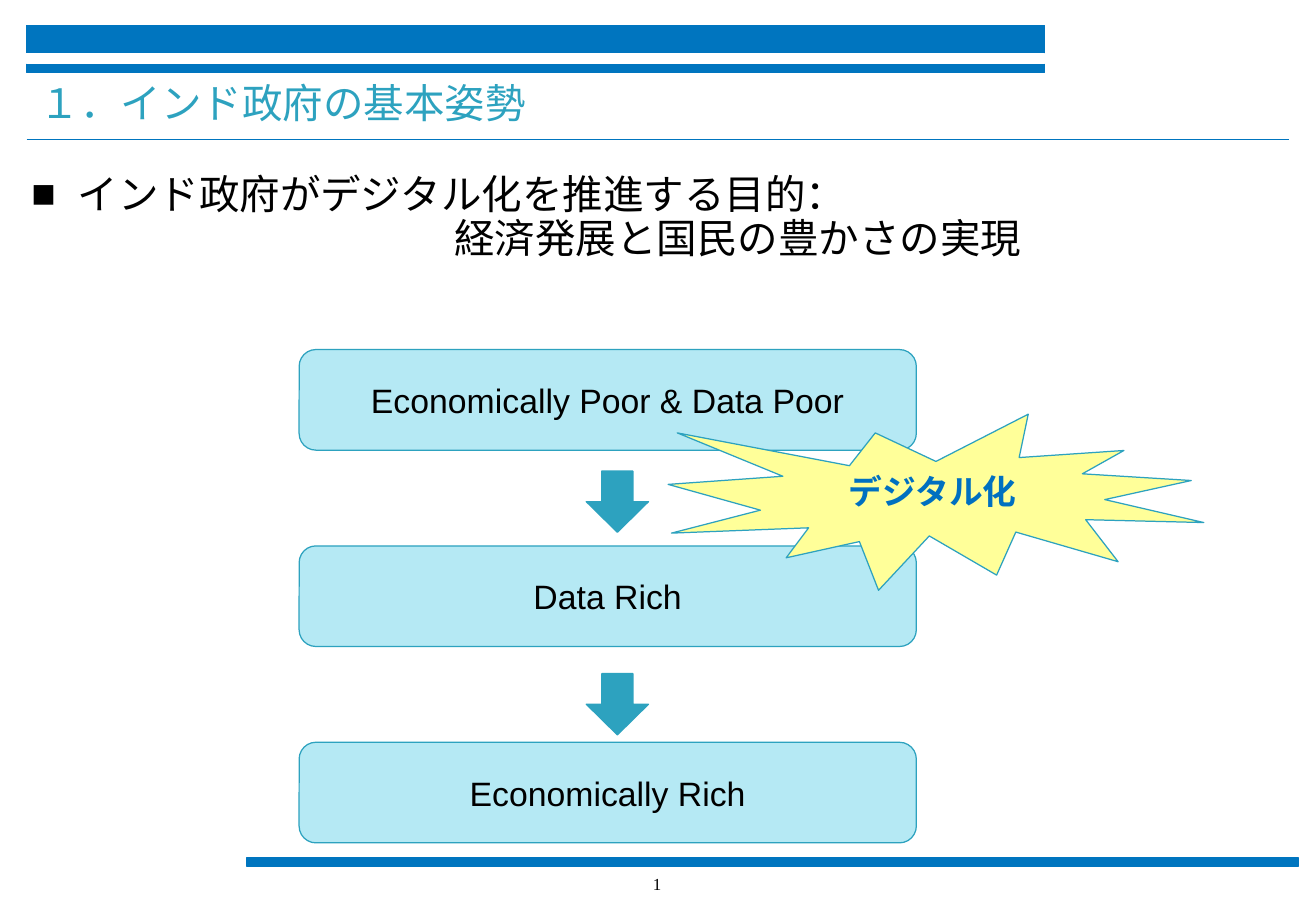
"""Slide on the Indian government's basic stance towards digitalisation."""
from lxml.etree import SubElement
from pptx import Presentation
from pptx.dml.color import RGBColor
from pptx.enum.shapes import MSO_CONNECTOR, MSO_SHAPE as Preset
from pptx.enum.text import MSO_ANCHOR as Anchor, PP_ALIGN as Align
from pptx.oxml.ns import qn
from pptx.util import Pt

BLUE, TEAL, PALE, YELLOW = "0075BF", "2DA2BF", "B5E9F4", "FFFF99"
WHITE, BLACK = "FFFFFF", "000000"
JAPANESE = "Noto Sans CJK JP"


def add_preset(preset, left, top, width, height, fill, line):
    shape = slide.shapes.add_shape(preset, Pt(left), Pt(top), Pt(width), Pt(height))
    shape.shadow.inherit = False
    shape.fill.solid()
    shape.fill.fore_color.rgb = RGBColor.from_string(fill)
    shape.line.color.rgb = RGBColor.from_string(line)
    shape.line.width = Pt(0.75)
    return shape


def write(paragraph, text, size, color, face="Arial", align=Align.LEFT, bold=False):
    paragraph.text = text
    paragraph.alignment = align
    font = paragraph.font
    font.size, font.name, font.bold = Pt(size), face, bold
    font.color.rgb = RGBColor.from_string(color)
    properties = paragraph._p.pPr.find(qn("a:defRPr"))
    SubElement(properties, qn("a:ea")).set("typeface", JAPANESE)


deck = Presentation()
deck.slide_width, deck.slide_height = Pt(780), Pt(540)
slide = deck.slides.add_slide(deck.slide_layouts[6])

for left, top, width, height, color in [
    (146.2, 508.6, 623.5, 4.8, BLUE),
    (15.8, 14.9, 603.4, 28.2, BLUE),
    (15.8, 31.9, 603.4, 5.8, WHITE),
]:
    add_preset(Preset.RECTANGLE, left, top, width, height, color, color)

title_rule = slide.shapes.add_connector(
    MSO_CONNECTOR.STRAIGHT, Pt(15.8), Pt(82.8), Pt(763.9), Pt(82.8))
title_rule.line.color.rgb = RGBColor.from_string(BLUE)
title_rule.line.width = Pt(0.75)
SubElement(title_rule._element.spPr, qn("a:effectLst"))

page_number = slide.shapes.add_textbox(Pt(328.3), Pt(514.1), Pt(122.4), Pt(22.3)).text_frame
page_number.word_wrap = True
write(page_number.paragraphs[0], "1", 10, BLACK, "Times New Roman", Align.CENTER)

purpose = slide.shapes.add_textbox(Pt(11.5), Pt(100.1), Pt(748.8), Pt(76.3)).text_frame
purpose.word_wrap = True
purpose.margin_top = 0
question, answer = purpose.paragraphs[0], purpose.add_paragraph()
write(question, "インド政府がデジタル化を推進する目的：", 24, BLACK, JAPANESE)
write(answer, "経済発展と国民の豊かさの実現", 24, BLACK, JAPANESE)
answer.line_spacing = 0.92
answer._p.pPr.set("marL", str(Pt(250.6)))
bulleted = question._p.pPr
bulleted.set("marL", str(Pt(27.4)))
bulleted.set("indent", str(Pt(-27.4)))
for position, (tag, name, value) in enumerate(
        [("a:buFont", "typeface", "Arial"), ("a:buChar", "char", "■")]):
    bullet = SubElement(bulleted, qn(tag))
    bullet.set(name, value)
    bulleted.insert(position, bullet)

for step, stage in enumerate(
        ["Economically Poor & Data Poor", "Data Rich", "Economically Rich"]):
    box = add_preset(Preset.ROUNDED_RECTANGLE, 177.3, 207.2 + 116.4 * step, 365.8, 59.6, PALE, TEAL)
    box.text_frame.word_wrap = False
    box.text_frame.vertical_anchor = Anchor.MIDDLE
    write(box.text_frame.paragraphs[0], stage, 20, BLACK, align=Align.CENTER)

for top in (279.2, 399.3):
    add_preset(Preset.DOWN_ARROW, 347.5, top, 36.9, 36.3, TEAL, TEAL)

burst = add_preset(Preset.EXPLOSION1, 396, 245.5, 317.5, 104.4, YELLOW, TEAL)
burst.text_frame.word_wrap = False
burst.text_frame.vertical_anchor = Anchor.MIDDLE
burst.text_frame.margin_bottom = Pt(10)
write(burst.text_frame.paragraphs[0], "デジタル化", 20, "0070C0", align=Align.CENTER, bold=True)

title = slide.shapes.add_textbox(Pt(16.6), Pt(46.1), Pt(707.8), Pt(42.5)).text_frame
title.word_wrap = True
title.margin_top = 0
write(title.paragraphs[0], "１．インド政府の基本姿勢", 24, TEAL)

deck.save("out.pptx")
